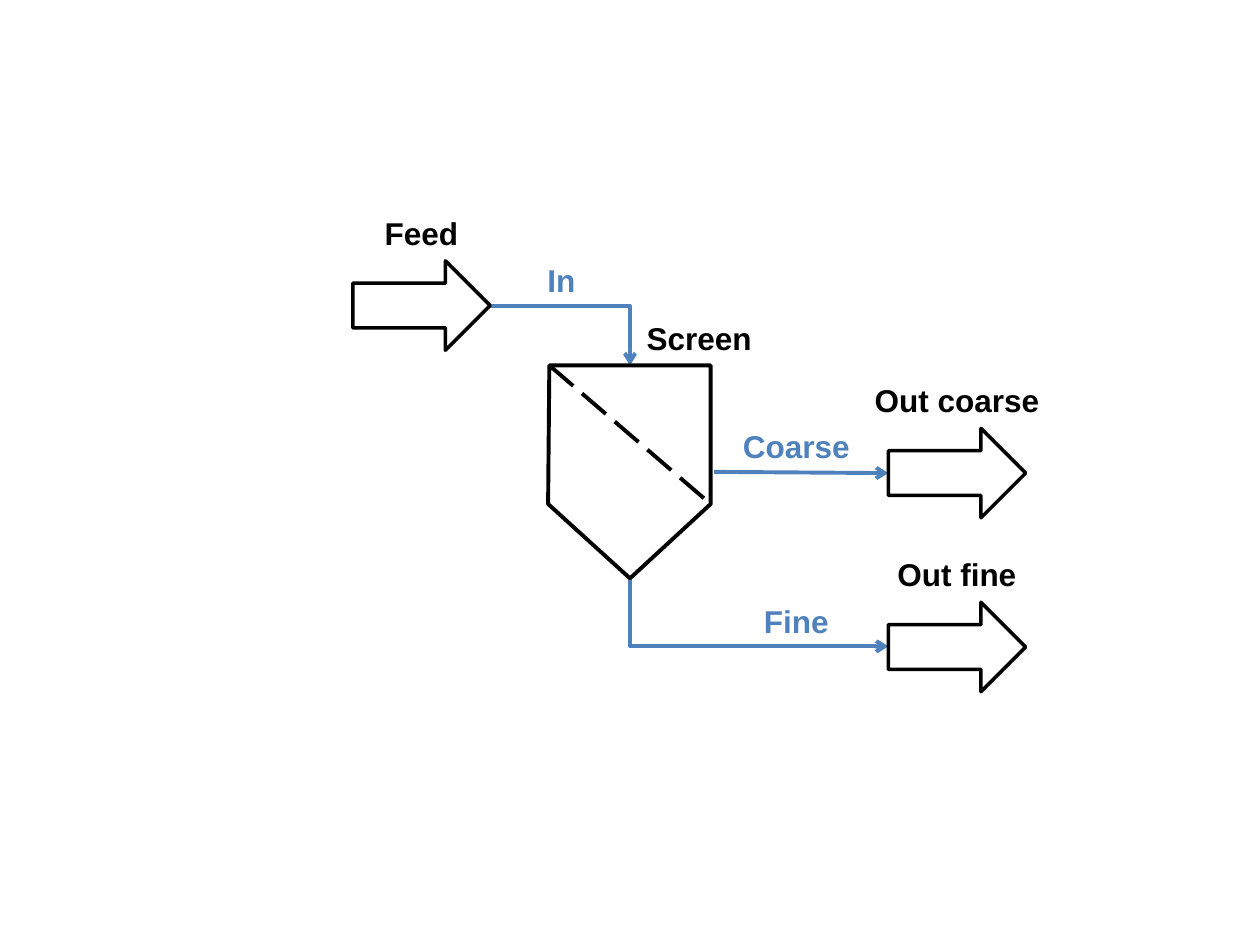
import pptx
import pptx.dml.color
import pptx.enum.dml
import pptx.enum.shapes
import pptx.enum.text
import pptx.oxml
import pptx.oxml.ns
import pptx.util

Inches, Pt = pptx.util.Inches, pptx.util.Pt
RGB = pptx.dml.color.RGBColor
KIND = pptx.enum.shapes.MSO_SHAPE
LINK = pptx.enum.shapes.MSO_CONNECTOR
qn = pptx.oxml.ns.qn

THEME = {
    "ink": RGB(0, 0, 0),
    "flow": RGB(0x4F, 0x81, 0xBD),
    "paper": RGB(255, 255, 255),
    "font": {"name": "Arial", "size": Pt(18), "bold": True},
    "thin": Pt(2),
    "thick": Pt(2.25),
}


def style(item, color, width, fill=None):
    """Set line and fill, and drop the shadow."""
    item.line.color.rgb = color
    item.line.width = width
    if fill is None:
        item._element.spPr.append(pptx.oxml.parse_xml(
            f"<a:effectLst {pptx.oxml.ns.nsdecls('a')}/>"))
    else:
        item.shadow.inherit = False
        item.fill.solid()
        item.fill.fore_color.rgb = fill


def write(item, text, color):
    """Put centred bold text in an item that has no fill or line."""
    frame = item.text_frame
    frame.word_wrap = False
    frame.vertical_anchor = pptx.enum.text.MSO_ANCHOR.MIDDLE
    para = frame.paragraphs[0]
    para.alignment = pptx.enum.text.PP_ALIGN.CENTER
    run = para.add_run()
    run.text = text
    run.font.color.rgb = color
    for key, value in THEME["font"].items():
        setattr(run.font, key, value)


deck = pptx.Presentation()
deck.slide_width, deck.slide_height = Inches(10), Inches(7.5)
shapes = deck.slides.add_slide(deck.slide_layouts[6]).shapes
ink, flow, paper = THEME["ink"], THEME["flow"], THEME["paper"]

# Flow lines: kind and ends
flows = {}
for name, kind, ends in [
    ("Coarse", LINK.STRAIGHT, (5.65, 3.75, 7.05, 3.75)),
    ("In", LINK.ELBOW, (3.89, 2.43, 5, 2.9)),
    ("Fine", LINK.ELBOW, (5.76, 3.84, 6.29, 5.89)),
]:
    line = shapes.add_connector(kind, *map(Inches, ends))
    style(line, flow, THEME["thick"])
    props = line._element.spPr
    tail = pptx.oxml.parse_xml(
        f"<a:tailEnd {pptx.oxml.ns.nsdecls('a')} type='arrow'/>")
    props.find(qn("a:ln")).append(tail)
    if kind == LINK.ELBOW:
        props.find(qn("a:prstGeom")).set("prst", "bentConnector2")
    flows[name] = line

# The fine flow goes down first, then right
turn = flows["Fine"]._element.spPr.find(qn("a:xfrm"))
turn.set("rot", "16200000")
turn.set("flipH", "1")

# Screen
screen = shapes.add_group_shape().shapes
back = screen.add_shape(KIND.RECTANGLE, *map(Inches, (4.35, 2.9, 1.3, 1.69)))
style(back, paper, THEME["thin"], paper)
edge = [(4.36, 2.9), (5.64, 2.9), (5.64, 4), (5, 4.59), (4.35, 4)]
points = [(Inches(x), Inches(y)) for x, y in edge]
draft = screen.build_freeform(*points[0])
draft.add_line_segments(points[1:], close=True)
style(draft.convert_to_shape(), ink, THEME["thick"], paper)
mesh = screen.add_connector(LINK.STRAIGHT, *points[0], *points[2])
style(mesh, ink, THEME["thick"])
mesh.line.dash_style = pptx.enum.dml.MSO_LINE.LONG_DASH

# Feed and outlets: each a label above an arrow
ports = {}
for name, x, y in [("Feed", 2.8, 2.07), ("Out coarse", 7.05, 3.4),
                   ("Out fine", 7.05, 4.78)]:
    port = shapes.add_group_shape().shapes
    title = port.add_textbox(*map(Inches, (x - 0.24, y - 0.45, 1.57, 0.45)))
    write(title, name, ink)
    arrow = port.add_shape(KIND.RIGHT_ARROW, *map(Inches, (x, y, 1.09, 0.71)))
    style(arrow, ink, THEME["thin"], paper)
    ports[name] = arrow

flows["Coarse"].begin_connect(back, 3)
flows["Coarse"].end_connect(ports["Out coarse"], 1)

# Free labels
for text, color, box in [
    ("Screen", ink, (5, 2.46, 1.1, 0.45)),
    ("In", flow, (4.24, 2.02, 0.43, 0.4)),
    ("Coarse", flow, (5.79, 3.34, 1.06, 0.4)),
    ("Fine", flow, (5.96, 4.73, 0.72, 0.4)),
]:
    write(shapes.add_textbox(*map(Inches, box)), text, color)

deck.save("out.pptx")
